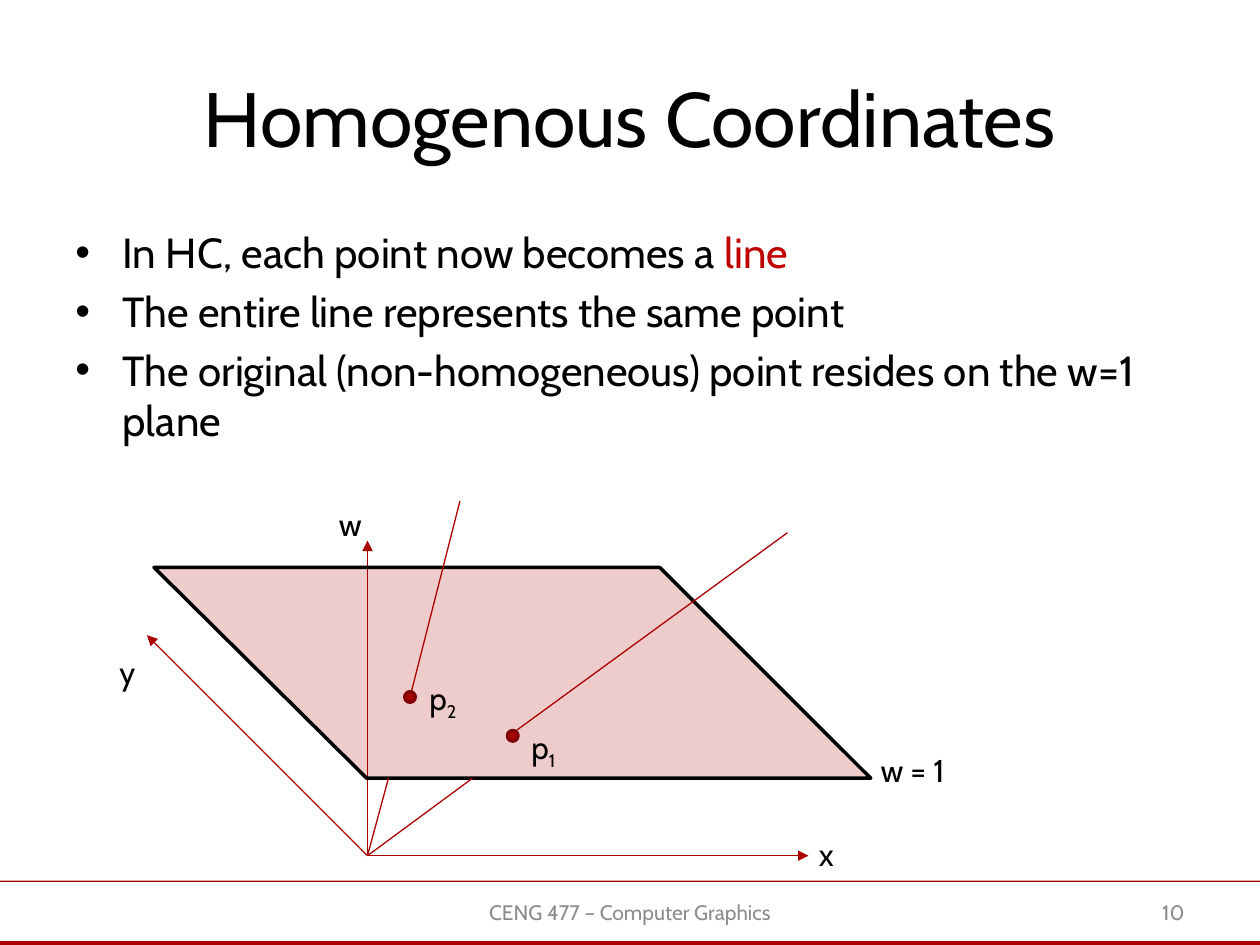
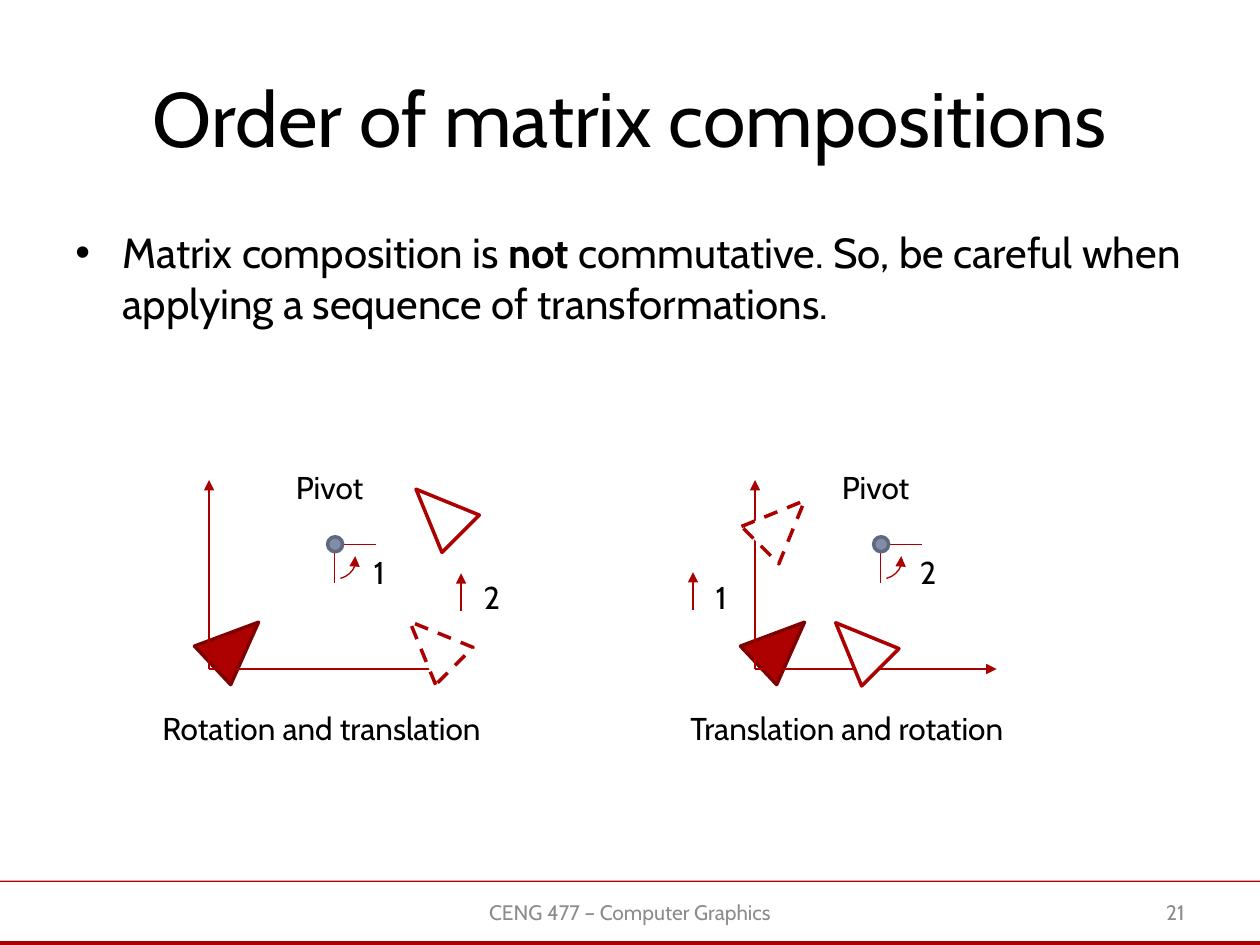
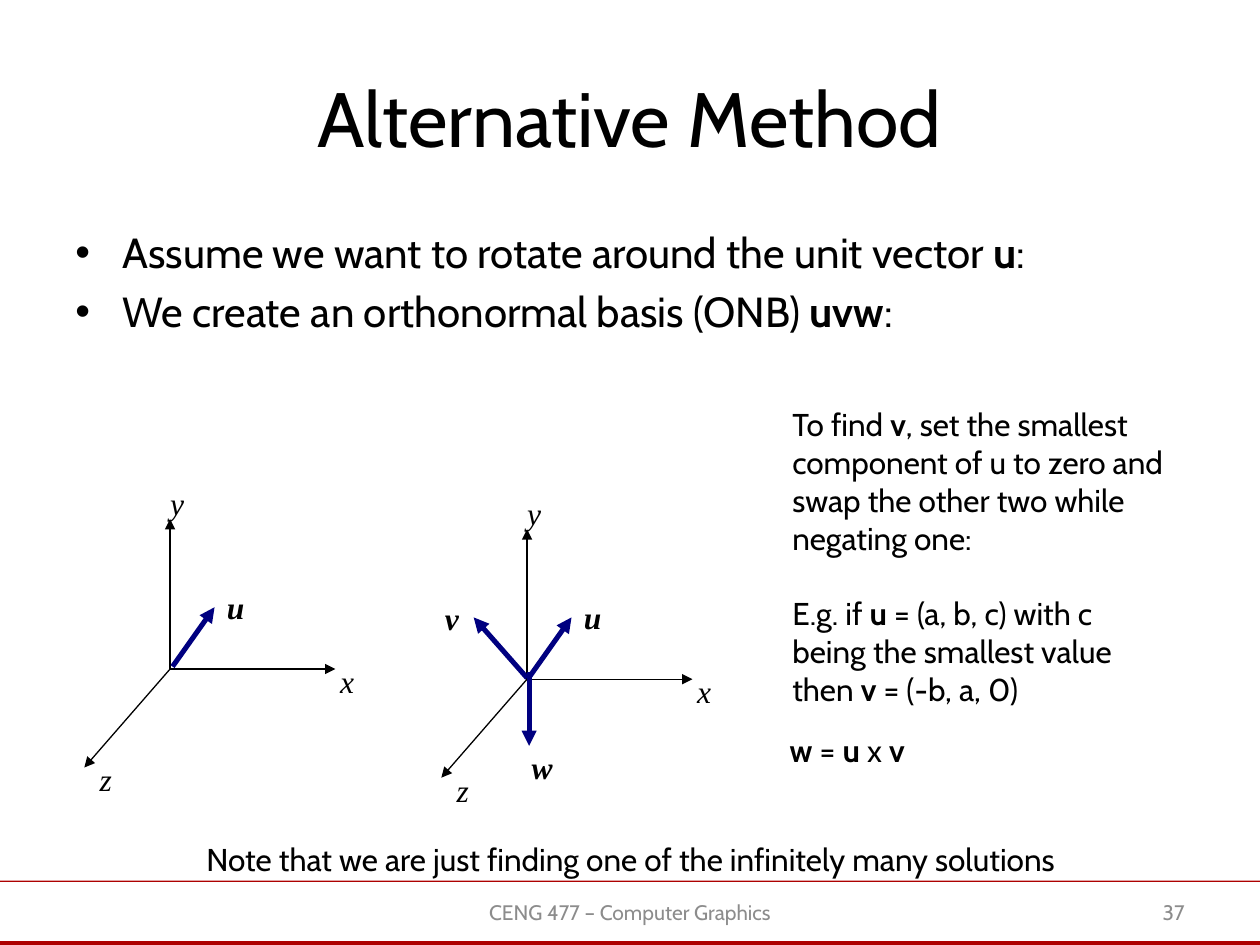
from lxml.etree import SubElement
from pptx import Presentation
from pptx.dml.color import RGBColor as RGB
from pptx.enum.dml import MSO_LINE_DASH_STYLE as DASH
from pptx.enum.shapes import MSO_CONNECTOR as CONN, MSO_SHAPE as SHAPE
from pptx.enum.text import MSO_ANCHOR as ANCHOR, MSO_AUTO_SIZE as AUTO, PP_ALIGN as ALIGN
from pptx.oxml.ns import qn
from pptx.util import Pt

COLORS = {
    "text": "000000", "footer": "8C8C8C", "accent": "AD0101", "edge": "800101",
    "axis": "AA0000", "emphasis": "C00000", "white": "FFFFFF",
    "pivot": "808DA9", "pivot_edge": "5F687D", "vector": "000080",
}
FONT, MATH_FONT = "Cabin", "Times New Roman"
WIDTH, HEIGHT = 720, 540
LABEL_H = 28.8
BOLD = {"bold": True}


def rgb(name):
    return RGB.from_string(COLORS[name])


# Text
def add_runs(p, runs, size, color="text", font=FONT):
    """Each run is a string or a (string, style) pair."""
    for run in [runs] if isinstance(runs, str) else runs:
        text, style = (run, {}) if isinstance(run, str) else run
        r = p.add_run()
        r.text = text
        r.font.name = font
        r.font.size = Pt(size)
        r.font.bold = style.get("bold", False)
        r.font.italic = style.get("italic", False)
        r.font.color.rgb = rgb(style.get("color", color))
        if "baseline" in style:
            r.font._element.set("baseline", str(style["baseline"] * 1000))


def add_frame(slide, x, y, w, h, anchor=ANCHOR.TOP, wrap=True):
    tf = slide.shapes.add_textbox(Pt(x), Pt(y), Pt(w), Pt(h)).text_frame
    tf.word_wrap = wrap
    tf.vertical_anchor = anchor
    return tf


def add_line_of_text(slide, box, text, size, align, color="text"):
    p = add_frame(slide, *box, anchor=ANCHOR.MIDDLE).paragraphs[0]
    p.alignment = align
    add_runs(p, text, size, color)


def add_label(slide, x, y, w, *lines):
    tf = add_frame(slide, x, y, w, LABEL_H * len(lines), wrap=False)
    tf.auto_size = AUTO.SHAPE_TO_FIT_TEXT
    for i, runs in enumerate(lines):
        add_runs(tf.add_paragraph() if i else tf.paragraphs[0], runs, 18)


def add_math(slide, x, y, letter, bold=False, w=16):
    tf = add_frame(slide, x, y, w, 22)
    tf.margin_left = tf.margin_right = tf.margin_top = tf.margin_bottom = 0
    p = tf.paragraphs[0]
    p.line_spacing = 1.02
    add_runs(p, [(letter, {"bold": bold, "italic": True})], 18, font=MATH_FONT)


def add_bullets(slide, *items):
    tf = add_frame(slide, 36, 126, 648, 356.4)
    for i, runs in enumerate(items):
        p = tf.add_paragraph() if i else tf.paragraphs[0]
        p.space_before = Pt(4.8)
        pPr = p._p.get_or_add_pPr()
        pPr.set("marL", str(Pt(27)))
        pPr.set("indent", str(Pt(-27)))
        SubElement(pPr, qn("a:buFont"), typeface="Arial")
        SubElement(pPr, qn("a:buChar"), char="•")
        add_runs(p, runs, 24)


# Lines and shapes
def add_arrowhead(sp, end):
    ln = sp._element.spPr.find(qn("a:ln"))
    SubElement(ln, qn(f"a:{end}"), type="triangle")


def add_line(slide, start, end, color="axis", width=0.75, arrow=False):
    sp = slide.shapes.add_connector(CONN.STRAIGHT, *map(Pt, (*start, *end)))
    sp.line.color.rgb = rgb(color)
    sp.line.width = Pt(width)
    if arrow:
        add_arrowhead(sp, "tailEnd")
    SubElement(sp._element.spPr, qn("a:effectLst"))


def style_shape(sp, fill=None, line=None, width=2.0):
    sp.shadow.inherit = False
    if fill:
        sp.fill.solid()
        sp.fill.fore_color.rgb = rgb(fill)
    else:
        sp.fill.background()
    if line:
        sp.line.color.rgb = rgb(line)
        sp.line.width = Pt(width)
    else:
        sp.line.fill.background()


def add_shape(slide, kind, x, y, w, h, fill=None, line=None, width=2.0, rotation=0):
    sp = slide.shapes.add_shape(kind, Pt(x), Pt(y), Pt(w), Pt(h))
    sp.rotation = rotation
    style_shape(sp, fill, line, width)
    return sp


def add_dot(slide, cx, cy, d, fill, line):
    add_shape(slide, SHAPE.OVAL, cx - d / 2, cy - d / 2, d, d, fill, line)


def add_triangle(slide, x, y, rotation, fill="white", line="accent", dashed=False):
    sp = add_shape(slide, SHAPE.ISOSCELES_TRIANGLE, x, y, 30.2, 36, fill, line,
                   rotation=rotation)
    if dashed:
        sp.line.dash_style = DASH.DASH


def add_plane(slide, corners, fill, alpha):
    first, *rest = [(Pt(x), Pt(y)) for x, y in corners]
    fb = slide.shapes.build_freeform(*first)
    fb.add_line_segments(rest, close=True)
    sp = fb.convert_to_shape()
    style_shape(sp, fill, "text")
    clr = sp._element.spPr.find(qn("a:solidFill"))[0]
    SubElement(clr, qn("a:alpha"), val=str(alpha * 1000))


# Slide frame: bands, title, footer
def add_slide(prs, title, number):
    slide = prs.slides.add_slide(prs.slide_layouts[6])
    for y, h in ((503.2, 0.7), (537.8, 2.2)):
        add_shape(slide, SHAPE.RECTANGLE, 0, y, WIDTH, h, "accent")
    add_line_of_text(slide, (36, 21.6, 648, 90), title, 44, ALIGN.CENTER)
    add_line_of_text(slide, (246, 507, 228, LABEL_H), "CENG 477 – Computer Graphics",
                     12, ALIGN.CENTER, "footer")
    add_line_of_text(slide, (516, 507, 168, LABEL_H), str(number),
                     12, ALIGN.RIGHT, "footer")
    return slide


# Diagrams
def draw_projection(slide):
    origin = (210, 489)
    for tip in ((462, 489), (84, 363), (210, 309)):
        add_line(slide, origin, tip, arrow=True)
    add_plane(slide, [(209.6, 444.7), (497.6, 444.7), (377, 324.2), (88, 324.2)],
              "accent", 20)
    # Each point's line: below the plane, then above it
    rays = (((270, 444.7), (293.6, 418.5), (450, 304.4), (293, 420.5)),
            ((222, 444.7), (234.2, 398.7), (262.8, 286.4), (234.3, 398.3)))
    for entry, start, end, dot in rays:
        add_line(slide, origin, entry)
        add_line(slide, start, end)
        add_dot(slide, *dot, 6, "accent", "edge")
    for x, y, w, text in ((460.8, 473.8, 23.8, "x"), (61.2, 369.4, 23.8, "y"),
                          (186.5, 285.1, 27.4, "w"), (496.1, 425.5, 58.3, "w = 1")):
        add_label(slide, x, y, w, text)
    for x, y, index in ((296.6, 412.6, "1"), (238.3, 384.5, "2")):
        add_label(slide, x, y, 31.7, ["p", (index, {"baseline": -25})])


def draw_composition(slide, x, caption, rotate_step, move_step, dashed, final, move):
    y = 382.3
    add_triangle(slide, x, 349.9, 46.8, "accent", "edge")
    add_line(slide, (x, y), (x + 138, y), arrow=True)
    add_line(slide, (x, y), (x, y - 108), arrow=True)
    # Rotation about the pivot
    add_label(slide, x + 42.5, 264, 54.7, "Pivot")
    pivot = (x + 71.5, 311)
    add_line(slide, pivot, (x + 71.5, 333.4))
    add_line(slide, pivot, (x + 95.4, 311))
    arc = add_shape(slide, SHAPE.ARC, x + 62.3, 309.3, 20.2, 23, line="axis",
                    width=0.75, rotation=75)
    add_arrowhead(arc, "headEnd")
    add_label(slide, x + 87, 312.5, 24.5, rotate_step)
    add_dot(slide, x + 72, 311, 8.6, "pivot", "pivot_edge")
    # Intermediate and final triangles, and the translation
    add_triangle(slide, *dashed, dashed=True)
    move_x, move_y = move
    add_line(slide, move, (move_x, move_y - 21.6), arrow=True)
    add_label(slide, move_x + 5.8, 326.9, 24.5, move_step)
    add_triangle(slide, *final)
    add_label(slide, *caption)


def draw_axes(slide, x, y):
    for dx, dy in ((0, -85.7), (94.5, 0), (-49, 56.3)):
        add_line(slide, (x, y), (x + dx, y + dy), "text", arrow=True)
    for dx, dy, letter in ((-40.3, 51.8, "z"), (97.2, -4.3, "x"), (0, -106.2, "y")):
        add_math(slide, x + dx, y + dy, letter, w=9.5)
    add_vector(slide, (x + 1.4, y - 1.4), (x + 25.4, y - 35.3))
    add_math(slide, x + 32.4, y - 46.8, "u", bold=True)


def add_vector(slide, start, end):
    add_line(slide, start, end, "vector", 2.89, arrow=True)


def main():
    prs = Presentation()
    prs.slide_width, prs.slide_height = Pt(WIDTH), Pt(HEIGHT)

    # Homogenous coordinates
    s = add_slide(prs, "Homogenous Coordinates", 10)
    add_bullets(s,
                ["In HC, each point now becomes a ", ("line", {"color": "emphasis"})],
                "The entire line represents the same point",
                "The original (non-homogeneous) point resides on the w=1 plane")
    draw_projection(s)

    # Order of compositions
    s = add_slide(prs, "Order of matrix compositions", 21)
    add_bullets(s, ["Matrix composition is ", ("not", BOLD),
                    " commutative. So, be careful when applying a sequence of"
                    " transformations."])
    draw_composition(s, 119.5, (85.7, 401.8, 206.6, "Rotation and translation"), "1", "2",
                     dashed=(231.8, 349.9, 315), final=(235.4, 274.3, 315),
                     move=(263.5, 349.2))
    draw_composition(s, 431.5, (387.4, 401.8, 204.5, "Translation and rotation"), "2", "1",
                     dashed=(432, 280.8, 45), final=(475.2, 350.6, 315),
                     move=(396, 348.5))

    # Orthonormal basis
    s = add_slide(prs, "Alternative Method", 37)
    add_bullets(s,
                ["Assume we want to rotate around the unit vector ", ("u", BOLD), ":"],
                ["We create an orthonormal basis (ONB) ", ("uvw", BOLD), ":"])
    draw_axes(s, 97.2, 382.3)
    draw_axes(s, 301.2, 388.1)
    add_vector(s, (301.2, 387.4), (270.7, 352.8))
    add_vector(s, (302.4, 383.8), (302.4, 426.2))
    add_math(s, 254.2, 342, "v", bold=True)
    add_math(s, 303.8, 427, "w", bold=True)
    add_label(s, 445.7, 228.2, 235.4,
              ["To find ", ("v", BOLD), ", set the smallest"],
              "component of u to zero and",
              "swap the other two while",
              "negating one:")
    add_label(s, 445.7, 336.2, 216.7,
              ["E.g. if ", ("u", BOLD), " = (a, b, c) with c"],
              "being the smallest value",
              ["then ", ("v", BOLD), " = (-b, a, 0)"])
    add_label(s, 444.2, 414, 90,
              [("w", BOLD), " = ", ("u", BOLD), " x ", ("v", BOLD)])
    add_label(s, 110.9, 476.6, 522.7,
              "Note that we are just finding one of the infinitely many solutions")

    prs.save("out.pptx")


if __name__ == "__main__":
    main()
